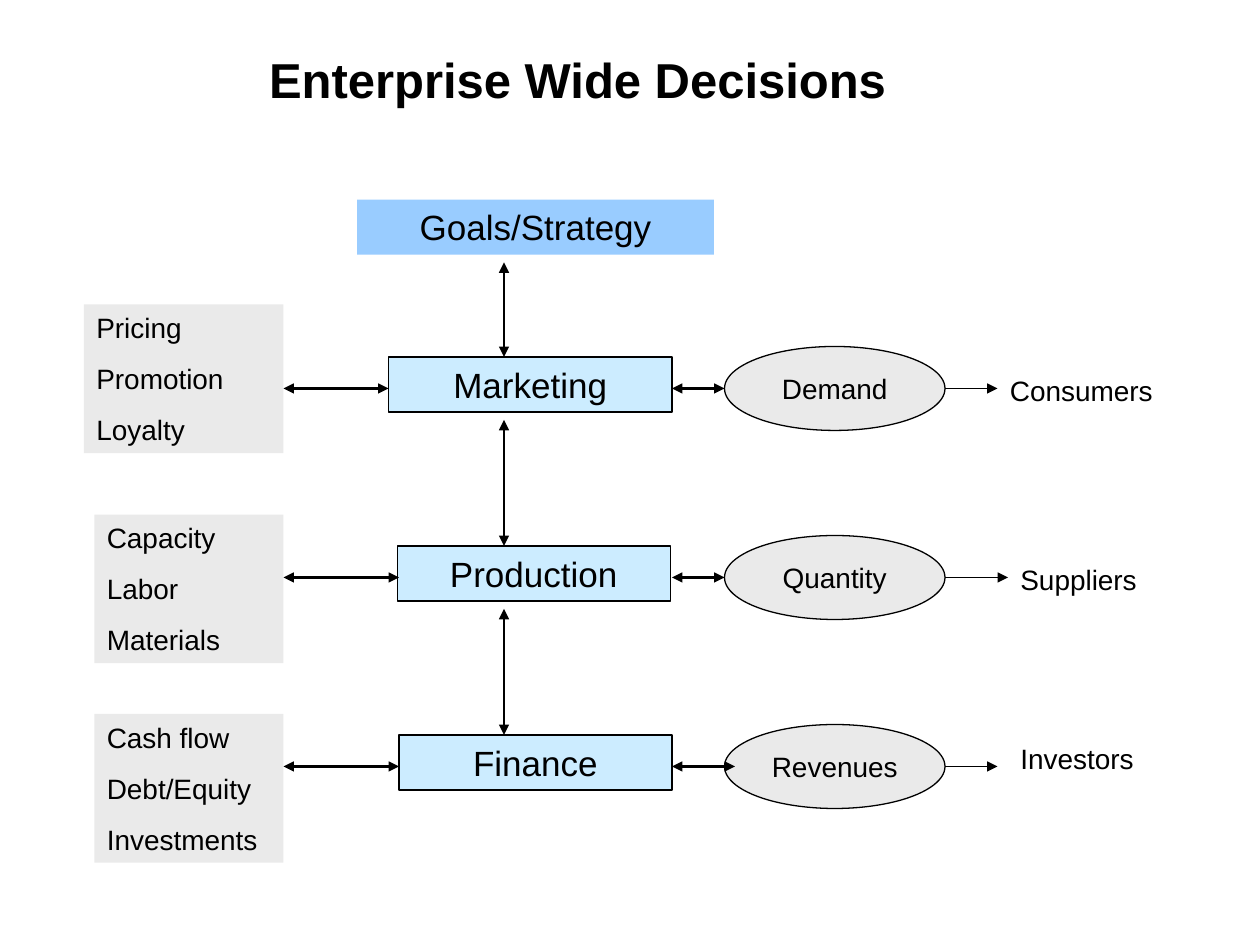
from lxml import etree
from pptx import Presentation
from pptx.dml.color import RGBColor
from pptx.enum import shapes, text
from pptx.oxml.ns import qn
from pptx.util import Pt

BLACK, GREY, BLUE, PALE_BLUE = "000000", "EAEAEA", "99CCFF", "CCECFF"
LEFT, CENTER = text.PP_ALIGN.LEFT, text.PP_ALIGN.CENTER
ROW_PITCH = 108
ROWS = [
    dict(name="Marketing", box=(222, 162), items=("Pricing", "Promotion", "Loyalty"),
         list_box=(48, 174, 114, 85), result="Demand", result_tip=414,
         party="Consumers", party_at=(570, 210), party_tip=570),
    dict(name="Production", box=(227, 156), items=("Capacity", "Labor", "Materials"),
         list_box=(54, 294, 108, 85), result="Quantity", result_tip=414,
         party="Suppliers", party_at=(576, 318), party_tip=576),
    dict(name="Finance", box=(228, 156), items=("Cash flow", "Debt/Equity", "Investments"),
         list_box=(54, 408, 108, 85), result="Revenues", result_tip=420,
         party="Investors", party_at=(576, 420), party_tip=570),
]


def color(value):
    """Turn a hex string into a colour."""
    return RGBColor.from_string(value)


def write(shape, lines, size, align=LEFT, anchor=text.MSO_ANCHOR.TOP, wrap=True, bold=False):
    """Fill a shape's text frame with one paragraph per line."""
    frame = shape.text_frame
    frame.word_wrap = wrap
    frame.vertical_anchor = anchor
    for index, line in enumerate(lines):
        paragraph = frame.add_paragraph() if index else frame.paragraphs[0]
        paragraph.alignment = align
        if index:
            paragraph.space_before = Pt(10)
        run = paragraph.add_run()
        run.text = line
        run.font.name = "Arial"
        run.font.size = Pt(size)
        run.font.bold = bold
        run.font.color.rgb = color(BLACK)


def add_block(slide, kind, box, fill, outlined=False):
    """Add a filled shape, outlined in black if asked."""
    shape = slide.shapes.add_shape(kind, *map(Pt, box))
    shape.shadow.inherit = False
    shape.fill.solid()
    shape.fill.fore_color.rgb = color(fill)
    if outlined:
        shape.line.color.rgb = color(BLACK)
        shape.line.width = Pt(0.75)
    else:
        shape.line.fill.background()
    return shape


def add_arrow(slide, start, end, width=0.75, both=True):
    """Add a straight black arrow with one or two triangular heads."""
    arrow = slide.shapes.add_connector(shapes.MSO_CONNECTOR.STRAIGHT, *map(Pt, start + end))
    arrow.line.color.rgb = color(BLACK)
    arrow.line.width = Pt(width)
    line = arrow.line._get_or_add_ln()
    for tag in ("a:headEnd", "a:tailEnd") if both else ("a:tailEnd",):
        etree.SubElement(line, qn(tag), type="triangle")
    etree.SubElement(arrow._element.spPr, qn("a:effectLst"))


def add_title(slide, box):
    """Place and format the slide title."""
    title = slide.shapes.title
    title.left, title.top, title.width, title.height = map(Pt, box)
    write(title, ["Enterprise Wide Decisions"], 28, CENTER, text.MSO_ANCHOR.MIDDLE, bold=True)


def add_goals(slide, box):
    """Add the strategy block at the head of the chain."""
    goals = add_block(slide, shapes.MSO_SHAPE.RECTANGLE, box, BLUE)
    write(goals, ["Goals/Strategy"], 20, CENTER)


def add_row(slide, row, top):
    """Add one function with its levers, result and outside party."""
    middle = top + 18
    box_left, box_width = row["box"]
    function = add_block(slide, shapes.MSO_SHAPE.RECTANGLE,
                         (box_left, top, box_width, 31.5), PALE_BLUE, True)
    write(function, [row["name"]], 20, CENTER)
    levers = add_block(slide, shapes.MSO_SHAPE.RECTANGLE, row["list_box"], GREY)
    write(levers, row["items"], 16)
    result = add_block(slide, shapes.MSO_SHAPE.OVAL, (414, middle - 24, 126, 48), GREY, True)
    write(result, [row["result"]], 16, CENTER, text.MSO_ANCHOR.MIDDLE, wrap=False)
    party = slide.shapes.add_textbox(*map(Pt, row["party_at"] + (126, 26.6)))
    write(party, [row["party"]], 16)
    lever_tip = 222 if box_left == 222 else 228
    add_arrow(slide, (162, middle), (lever_tip, middle), 1.5)
    add_arrow(slide, (384, middle), (row["result_tip"], middle), 1.5)
    add_arrow(slide, (540, middle), (row["party_tip"], middle), both=False)


def add_chain(slide, x, first_top):
    """Link the blocks of the centre column from top to bottom."""
    for index in range(len(ROWS)):
        end = first_top + index * ROW_PITCH
        add_arrow(slide, (x, end - (72 if index else 54)), (x, end))


def main():
    """Build and save the slide."""
    presentation = Presentation()
    presentation.slide_width, presentation.slide_height = Pt(720), Pt(540)
    slide = presentation.slides.add_slide(presentation.slide_layouts[5])
    add_title(slide, (24, 0, 612, 90))
    add_goals(slide, (204, 114, 204, 31.5))
    for index, row in enumerate(ROWS):
        add_row(slide, row, 204 + index * ROW_PITCH)
    add_chain(slide, 288, 204)
    presentation.save("out.pptx")


if __name__ == "__main__":
    main()
